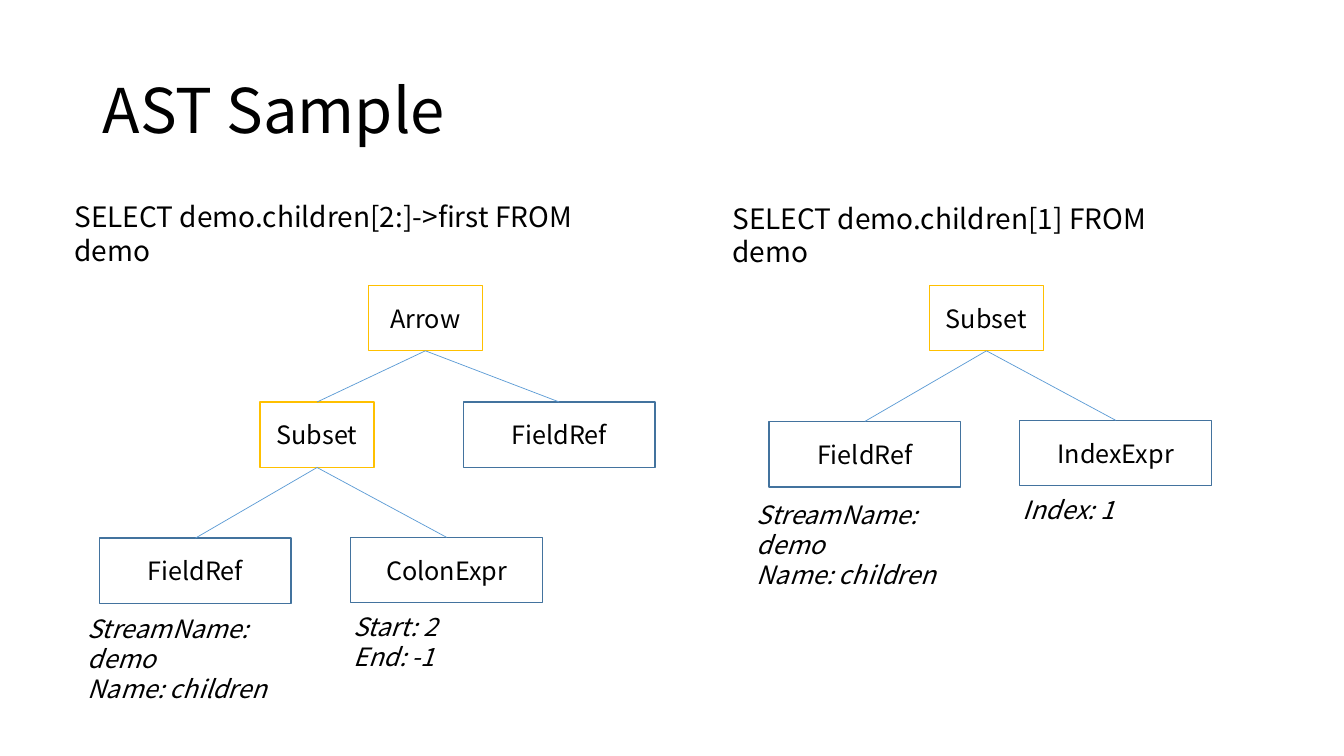
"""Build the AST Sample slide with two syntax trees."""
import pptx
import pptx.dml.color
import pptx.enum.shapes
import pptx.enum.text
import pptx.util
from lxml import etree

Cm = pptx.util.Cm
Align = pptx.enum.text.PP_ALIGN
Anchor = pptx.enum.text.MSO_ANCHOR
FONT = "Noto Sans CJK SC"
BLACK, GOLD, NAVY, BLUE = "000000", "FFC000", "43739E", "5B9BD5"


def color(value):
    return pptx.dml.color.RGBColor.from_string(value)


def write(shape, text, size=18, italic=None, align=Align.LEFT, anchor=Anchor.TOP, spacing=None):
    frame = shape.text_frame
    frame.text = text
    frame.word_wrap = True
    frame.auto_size = pptx.enum.text.MSO_AUTO_SIZE.NONE
    frame.vertical_anchor = anchor
    for paragraph in frame.paragraphs:
        paragraph.alignment = align
        paragraph.line_spacing = spacing
        for run in paragraph.runs:
            run.font.name = FONT
            run.font.size = pptx.util.Pt(size)
            run.font.italic = italic
            run.font.color.rgb = color(BLACK)


presentation = pptx.Presentation()
presentation.slide_width = Cm(33.87)
presentation.slide_height = Cm(19.05)
slide = presentation.slides.add_slide(presentation.slide_layouts[5])

title = slide.shapes.title
title.left, title.top, title.width, title.height = Cm(2.34), Cm(1.02), Cm(29.21), Cm(3.68)
write(title, "AST Sample", size=44, anchor=Anchor.MIDDLE, spacing=0.9)

queries = [
    ("SELECT demo.children[2:]->first FROM demo", 1.63, 4.9, 14.96),
    ("SELECT demo.children[1] FROM demo", 18.21, 4.95, 12.7),
]
for text, left, top, width in queries:
    write(slide.shapes.add_textbox(Cm(left), Cm(top), Cm(width), Cm(1.12)), text, size=20)

OPERATOR_WIDTH, LEAF_WIDTH, NODE_HEIGHT = 2.88, 4.83, 1.65
nodes = [
    ("arrow", "Arrow", 9.28, 7.19, None),
    ("left subset", "Subset", 6.55, 10.13, "arrow"),
    ("first field", "FieldRef", 11.68, 10.13, "arrow"),
    ("left field", "FieldRef", 2.51, 13.56, "left subset"),
    ("colon", "ColonExpr", 8.84, 13.54, "left subset"),
    ("right subset", "Subset", 23.42, 7.19, None),
    ("right field", "FieldRef", 19.38, 10.62, "right subset"),
    ("index", "IndexExpr", 25.7, 10.59, "right subset"),
]
boxes = {}
for key, label, left, top, parent in nodes:
    is_operator = label in ("Arrow", "Subset")
    width = OPERATOR_WIDTH if is_operator else LEAF_WIDTH
    box = slide.shapes.add_shape(
        pptx.enum.shapes.MSO_SHAPE.RECTANGLE, Cm(left), Cm(top), Cm(width), Cm(NODE_HEIGHT))
    box.shadow.inherit = False
    box.fill.background()
    box.line.color.rgb = color(GOLD if is_operator else NAVY)
    box.line.width = pptx.util.Pt(1)
    write(box, label, align=Align.CENTER, anchor=Anchor.MIDDLE)
    boxes[key] = box
    if parent:
        branch = slide.shapes.add_connector(pptx.enum.shapes.MSO_CONNECTOR.STRAIGHT, 0, 0, 0, 0)
        branch.begin_connect(boxes[parent], 2)
        branch.end_connect(box, 0)
        branch.line.color.rgb = color(BLUE)
        branch.line.width = pptx.util.Pt(0.5)
        etree.SubElement(branch.element.spPr, pptx.oxml.ns.qn("a:effectLst"))

details = [
    ("StreamName: demo\nName: children", 1.96, 15.32, 1.8),
    ("Start: 2\nEnd: -1", 8.66, 15.27, 1.8),
    ("StreamName: demo\nName: children", 18.82, 12.45, 1.8),
    ("Index: 1", 25.53, 12.32, 1.02),
]
for text, left, top, height in details:
    write(slide.shapes.add_textbox(Cm(left), Cm(top), Cm(6.02), Cm(height)), text, italic=True)

presentation.save("out.pptx")
